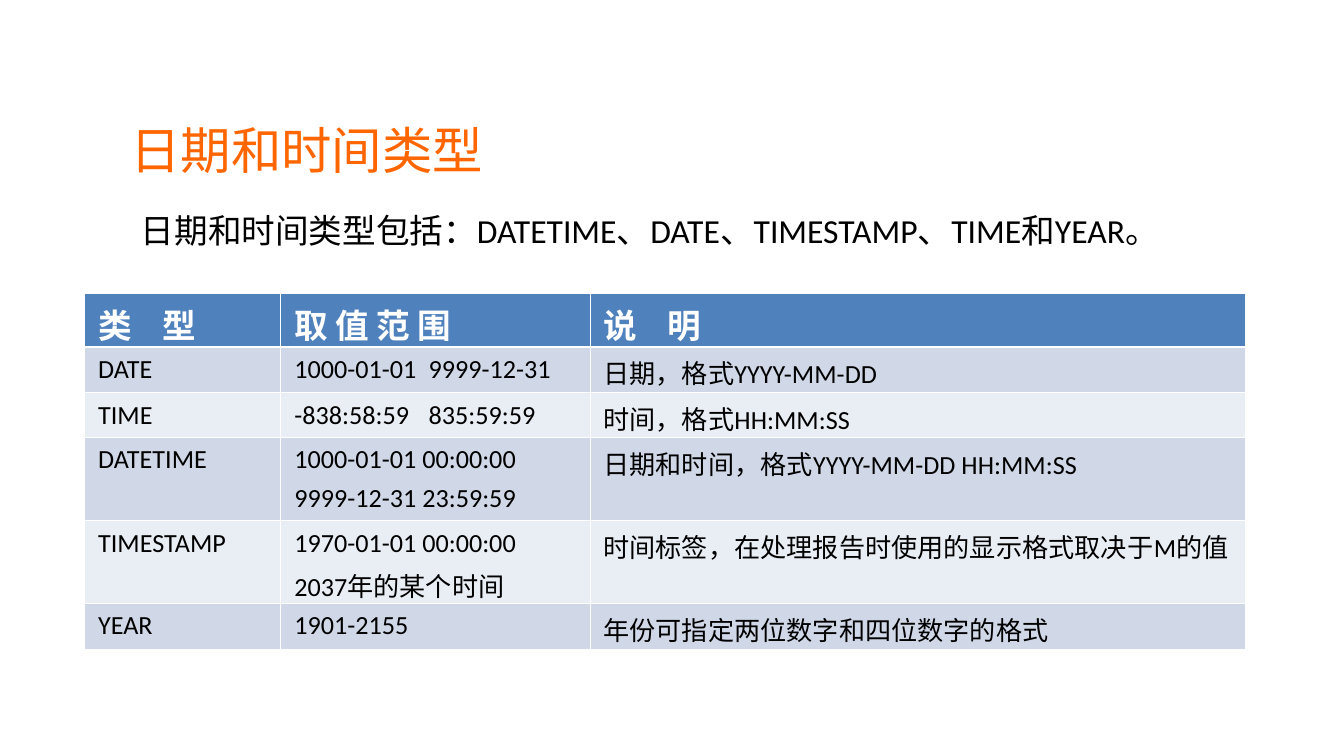
from pptx import Presentation, util as u
from pptx.dml.color import RGBColor
from pptx.enum import text
from pptx.oxml import parse_xml
from pptx.oxml.ns import nsdecls

COLS = [1.46, 2.3, 4.88]
ROW_HEIGHTS = [0.4, 0.34, 0.33, 0.62, 0.61, 0.34]
TAB_STOPS = [0.48, 1, 0.48]
ROWS = [
    ("类\t型", "取 值 范 围", "说\t明"),
    ("DATE", "1000-01-01\t9999-12-31", "日期，格式YYYY-MM-DD"),
    ("TIME", "-838:58:59\t835:59:59", "时间，格式HH:MM:SS"),
    ("DATETIME", "1000-01-01 00:00:00\n9999-12-31 23:59:59",
     "日期和时间，格式YYYY-MM-DD HH:MM:SS"),
    ("TIMESTAMP", "1970-01-01 00:00:00\n2037年的某个时间",
     "时间标签，在处理报告时使用的显示格式取决于M的值"),
    ("YEAR", "1901-2155", "年份可指定两位数字和四位数字的格式"),
]


def rgb(value):
    return RGBColor.from_string(value)


def add_run(p, words, size, color, font="Calibri", bold=False):
    r = p.add_run()
    r.text = words
    r.font.size = u.Pt(size)
    r.font.name = font
    r.font.bold = bold
    r.font.color.rgb = rgb(color)


def add_box(s, box, inset_x, inset_y):
    sp = s.shapes.add_textbox(*map(u.Inches, box))
    tf = sp.text_frame
    tf.word_wrap = True
    tf.vertical_anchor = text.MSO_ANCHOR.MIDDLE
    tf.margin_left = tf.margin_right = u.Inches(inset_x)
    tf.margin_top = tf.margin_bottom = u.Inches(inset_y)
    return tf


def add_title(s, box):
    tf = add_box(s, box, 0.08, 0.04)
    add_run(tf.paragraphs[0], "日期和时间类型", 27, "FF6600", "Arial")


def add_intro(s, box):
    tf = add_box(s, box, 0.1, 0.05)
    tf.auto_size = text.MSO_AUTO_SIZE.SHAPE_TO_FIT_TEXT
    p = tf.paragraphs[0]
    p._p.get_or_add_pPr().set("indent", str(u.Inches(0.4)))
    add_run(p, "日期和时间类型包括：DATETIME、DATE、TIMESTAMP、TIME和YEAR。", 18, "000000")


def set_borders(cell, row):
    """Draw white cell borders, with a thicker rule under the header row."""
    tcPr = cell._tc.get_or_add_tcPr()
    for i, side in enumerate(("lnL", "lnR", "lnT", "lnB")):
        thick = (side, row) in (("lnB", 0), ("lnT", 1))
        width = u.Pt(1.47 if thick else 0.45)
        tcPr.insert(i, parse_xml(
            f'<a:{side} {nsdecls("a")} w="{width}"><a:solidFill>'
            f'<a:srgbClr val="FFFFFF"/></a:solidFill></a:{side}>'))


def set_tab(p, inches):
    p._p.get_or_add_pPr().append(parse_xml(
        f'<a:tabLst {nsdecls("a")}><a:tab pos="{u.Inches(inches)}" algn="l"/></a:tabLst>'))


def fill_cell(cell, words, row, tab):
    header = row == 0
    cell.fill.solid()
    cell.fill.fore_color.rgb = rgb("4F81BD" if header else "D0D8E8" if row % 2 else "E9EDF4")
    set_borders(cell, row)
    tf = cell.text_frame
    for i, line in enumerate(words.split("\n")):
        p = tf.add_paragraph() if i else tf.paragraphs[0]
        if i:
            p.space_before = u.Pt(3.5)
        if "\t" in line:
            set_tab(p, tab)
        add_run(p, line, 18 if header else 14, "FFFFFF" if header else "000000", bold=header)


def add_type_table(s, box):
    table = s.shapes.add_table(len(ROWS), len(COLS), *map(u.Inches, box)).table
    for column, width in zip(table.columns, COLS):
        column.width = u.Inches(width)
    for i, (row, height) in enumerate(zip(table.rows, ROW_HEIGHTS)):
        row.height = u.Inches(height)
        for cell, words, tab in zip(row.cells, ROWS[i], TAB_STOPS):
            fill_cell(cell, words, i, tab)


def main():
    prs = Presentation()
    prs.slide_width = u.Inches(10)
    prs.slide_height = prs.slide_width * 9 // 16
    s = prs.slides.add_slide(prs.slide_layouts[6])
    add_title(s, (0.89, 0.73, 2.85, 0.77))
    add_intro(s, (0.55, 1.36, 8.39, 0.7))
    add_type_table(s, (0.63, 2.18, sum(COLS), sum(ROW_HEIGHTS)))
    prs.save("out.pptx")


if __name__ == "__main__":
    main()
